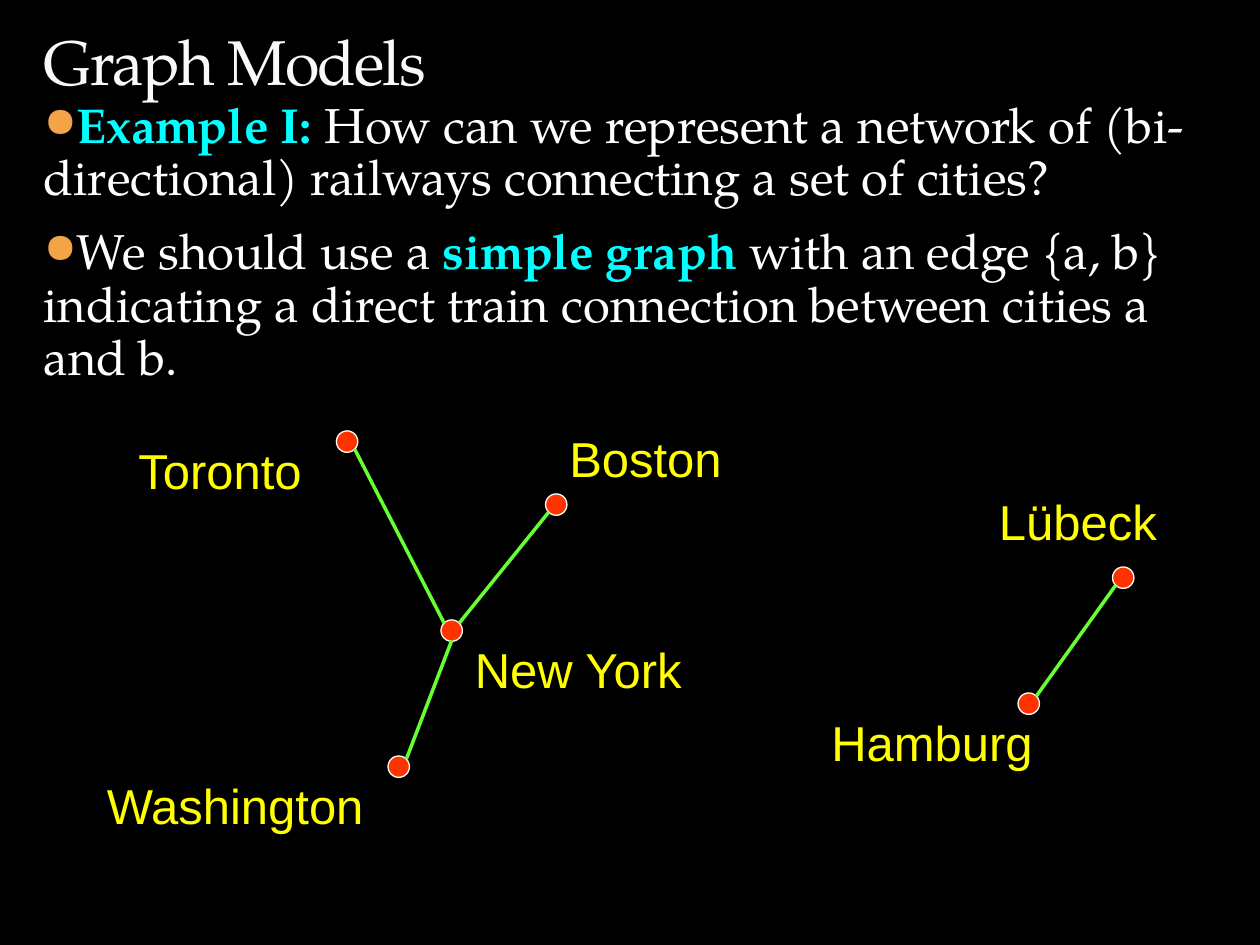
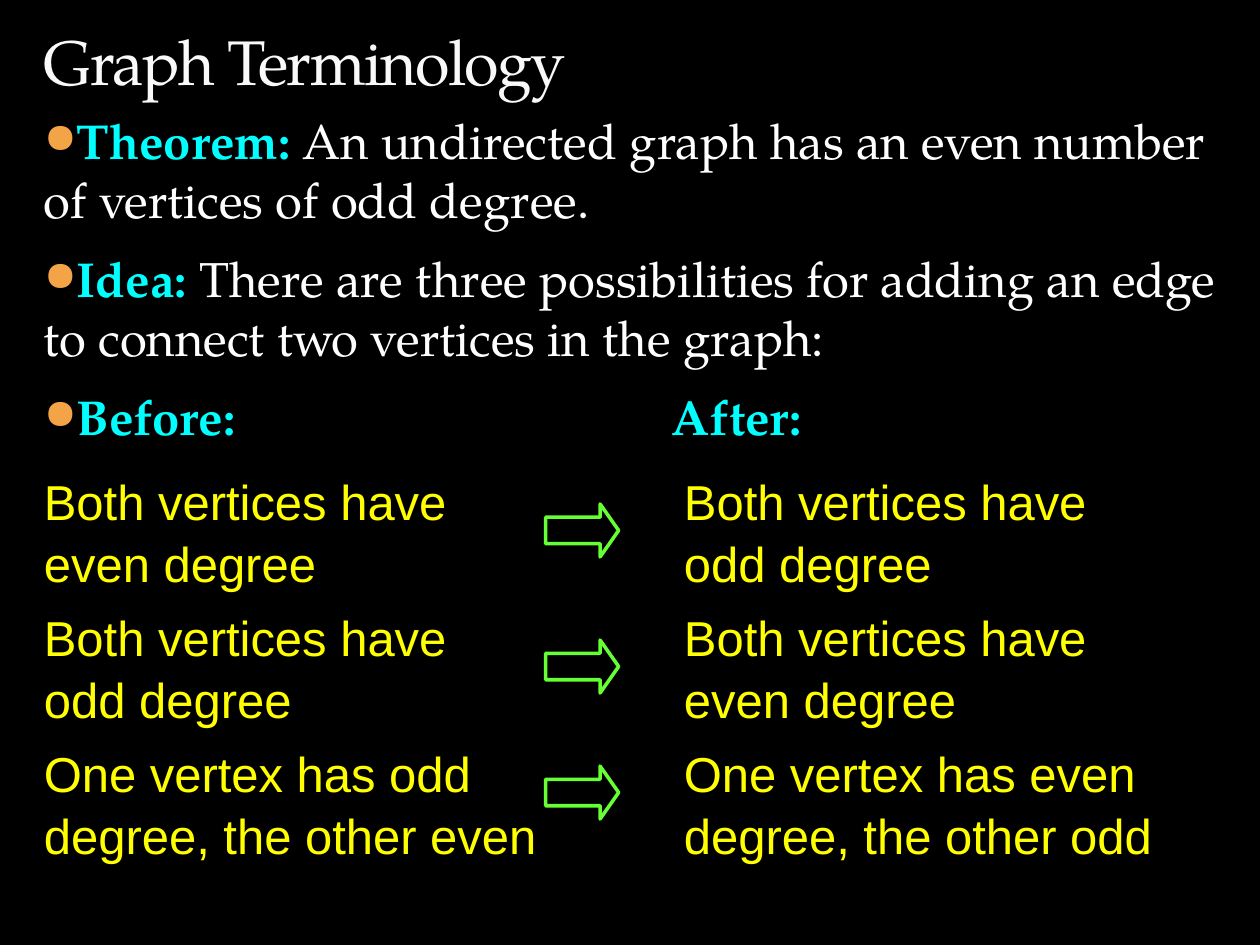
from lxml import etree
from pptx import Presentation
from pptx.dml.color import RGBColor
from pptx.enum.shapes import MSO_CONNECTOR, MSO_SHAPE
from pptx.enum.text import MSO_ANCHOR
from pptx.oxml.ns import qn
from pptx.util import Inches, Pt

COLORS = {
    "background": "000000", "title": "F9F9F9", "body": "FFFFFF",
    "key": "00FFFF", "bullet": "F3A447", "label": "FFFF00",
    "node": "FF3300", "edge": "66FF33",
}
RGB = {name: RGBColor.from_string(value) for name, value in COLORS.items()}
SERIF, SANS = "TeX Gyre Pagella", "Arial"
FONTS = {
    "title": {"name": SERIF, "size": Pt(36), "bold": False},
    "body": {"name": SERIF, "size": Pt(28), "bold": False},
    "key": {"name": SERIF, "size": Pt(28), "bold": True},
    "label": {"name": SANS, "size": Pt(28), "bold": False},
}
TITLE_BOX = (0.25, 0, 9.42, 0.83)
BULLET_SPACING = {"space_before": Pt(6), "space_after": Pt(5.6)}
LABEL_SPACING = {"line_spacing": 1.05}


def add_text(s, box, paragraphs, spacing, anchor=MSO_ANCHOR.TOP):
    """Add a text box; each paragraph is a list of (text, style) runs."""
    tf = s.shapes.add_textbox(*map(Inches, box)).text_frame
    tf.word_wrap = True
    tf.vertical_anchor = anchor
    for i, runs in enumerate(paragraphs):
        p = tf.add_paragraph() if i else tf.paragraphs[0]
        for key, value in spacing.items():
            setattr(p, key, value)
        for text, style in runs:
            for j, line in enumerate(text.split("\n")):
                if j:
                    p.add_line_break()
                r = p.add_run()
                r.text = line
                r.font.color.rgb = RGB[style]
                for key, value in FONTS[style].items():
                    setattr(r.font, key, value)
                if style == "title":
                    r._r.get_or_add_rPr().set("spc", "-100")
    return tf


def add_bullets(s, box, paragraphs, spacing, tab=None):
    """Add bulleted text that wraps back to the left edge of its box."""
    tf = add_text(s, box, paragraphs, spacing)
    for p in tf.paragraphs:
        pPr = p._p.get_or_add_pPr()
        pPr.set("marL", "0")
        pPr.set("indent", "0")
        color = etree.SubElement(pPr, qn("a:buClr"))
        etree.SubElement(color, qn("a:srgbClr"), val=COLORS["bullet"])
        etree.SubElement(pPr, qn("a:buSzPct"), val="85000")
        etree.SubElement(pPr, qn("a:buChar"), char="●")
        if tab:
            tabs = etree.SubElement(pPr, qn("a:tabLst"))
            etree.SubElement(tabs, qn("a:tab"), pos=str(Inches(tab)), algn="l")


prs = Presentation()
prs.slide_width, prs.slide_height = Inches(10), Inches(7.5)
slides = []
for title in ("Graph Models", "Graph Terminology"):
    s = prs.slides.add_slide(prs.slide_layouts[6])
    s.background.fill.solid()
    s.background.fill.fore_color.rgb = RGB["background"]
    add_text(s, TITLE_BOX, [[(title, "title")]], {}, MSO_ANCHOR.BOTTOM)
    slides.append(s)
models, terminology = slides

# Graph Models: a railway network as a simple graph
add_bullets(models, (0.25, 0.75, 9.58, 2.42), [
    [("Example I: ", "key"),
     ("How can we represent a network of (bi-directional) railways "
      "connecting a set of cities?", "body")],
    [("We should use a ", "body"), ("simple graph", "key"),
     (" with an edge {a, b} indicating a direct train connection "
      "between cities a and b.", "body")],
], {**BULLET_SPACING, "line_spacing": 0.9})

NODE_SIZE = 0.17
# city: (node left, node top), (label left, label top, label width)
cities = {
    "Toronto": ((2.67, 3.42), (1, 3.42, 2.25)),
    "Boston": ((4.33, 3.92), (4.42, 3.33, 1.75)),
    "New York": ((3.5, 4.92), (3.67, 5, 2.08)),
    "Washington": ((3.08, 6), (0.75, 6.08, 3.17)),
    "Lübeck": ((8.83, 4.5), (7.83, 3.83, 2.17)),
    "Hamburg": ((8.08, 5.5), (6.5, 5.58, 2)),
}
for city, (node, (left, top, width)) in cities.items():
    sp = models.shapes.add_shape(MSO_SHAPE.FLOWCHART_CONNECTOR,
                                 *map(Inches, (*node, NODE_SIZE, NODE_SIZE)))
    sp.shadow.inherit = False
    sp.fill.solid()
    sp.fill.fore_color.rgb = RGB["node"]
    sp.line.color.rgb = RGB["body"]
    sp.line.width = Pt(0.75)
    add_text(models, (left, top, width, 0.57), [[(city, "label")]], LABEL_SPACING)

# Points on a node's rim, measured from its centre
rim = {"NW": (-0.06, -0.06), "NE": (0.06, -0.06), "SW": (-0.06, 0.06),
       "SE": (0.06, 0.06), "S": (0, 0.08)}
railways = [
    (("Toronto", "SE"), ("New York", "NW")),
    (("New York", "NE"), ("Boston", "SW")),
    (("New York", "S"), ("Washington", "NE")),
    (("Hamburg", "NE"), ("Lübeck", "SW")),
]
for railway in railways:
    ends = [Inches(corner + NODE_SIZE / 2 + offset)
            for city, side in railway
            for corner, offset in zip(cities[city][0], rim[side])]
    line = models.shapes.add_connector(MSO_CONNECTOR.STRAIGHT, *ends)
    line.line.color.rgb = RGB["edge"]
    line.line.width = Pt(2)
    etree.SubElement(line._element.spPr, qn("a:effectLst"))

# Graph Terminology: degrees before and after adding an edge
add_bullets(terminology, (0.25, 0.83, 9.58, 3.17), [
    [("Theorem: ", "key"),
     ("An undirected graph has an even number of vertices of odd degree.", "body")],
    [("Idea:", "key"),
     (" There are three possibilities for adding an edge to connect two "
      "vertices in the graph:", "body")],
    [("Before:\tAfter:", "key")],
], BULLET_SPACING, tab=4.98)

cases = [
    ("Both vertices have\neven degree", "Both vertices have\nodd degree", 4),
    ("Both vertices have\nodd degree", "Both vertices have\neven degree", 5.08),
    ("One vertex has odd degree, the other even",
     "One vertex has even degree, the other odd", 6.08),
]
for i, (before, after, arrow_top) in enumerate(cases):
    for left, text in ((0.25, before), (5.33, after)):
        add_text(terminology, (left, 3.67 + 1.08 * i, 4.67, 1.08),
                 [[(text, "label")]], LABEL_SPACING)
    sp = terminology.shapes.add_shape(MSO_SHAPE.RIGHT_ARROW,
                                      *map(Inches, (4.33, arrow_top, 0.58, 0.42)))
    sp.adjustments[1] = 0.35
    sp.shadow.inherit = False
    sp.fill.background()
    sp.line.color.rgb = RGB["edge"]
    sp.line.width = Pt(2)

prs.save("out.pptx")
